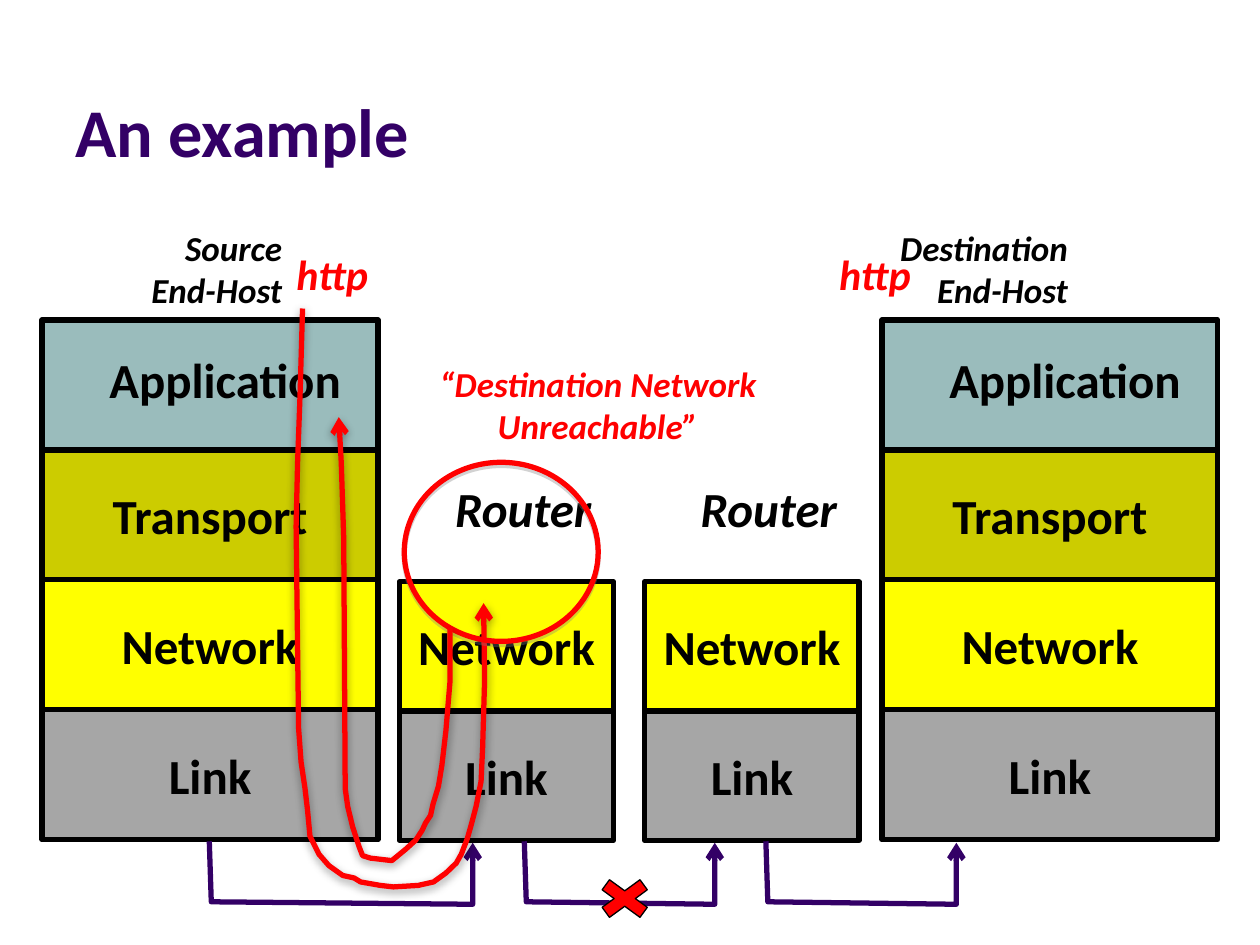
from lxml import etree
from pptx import Presentation
from pptx import util as u
from pptx.dml.color import RGBColor
from pptx.enum import shapes, text
from pptx.oxml.ns import qn

PURPLE = RGBColor(0x33, 0x00, 0x66)
RED = RGBColor(0xFF, 0x00, 0x00)
BLACK = RGBColor(0x00, 0x00, 0x00)
TEAL = RGBColor(0x9A, 0xBC, 0xBC)
OLIVE = RGBColor(0xCC, 0xCC, 0x00)
YELLOW = RGBColor(0xFF, 0xFF, 0x00)
GRAY = RGBColor(0xA6, 0xA6, 0xA6)

RIGHT, CENTER = text.PP_ALIGN.RIGHT, text.PP_ALIGN.CENTER
LOWER_LAYERS = [("Network", YELLOW), ("Link", GRAY)]
HOST_LAYERS = [("", TEAL), ("Transport", OLIVE)] + LOWER_LAYERS
LAYER_STEP = 2.62

REQUEST_PATH = [
    (0.13, 0), (0.08, 1.73), (0.03, 3.1), (0, 4.39), (0.05, 8.46), (0.1, 9.14),
    (0.18, 9.68), (0.23, 10.11), (0.28, 10.64), (0.46, 11), (0.66, 11.23),
    (0.94, 11.43), (1.17, 11.48), (1.3, 11.56), (1.7, 11.63), (1.96, 11.66),
    (2.46, 11.63), (2.77, 11.56), (3.02, 11.38), (3.23, 11.18), (3.33, 11),
    (3.45, 10.69), (3.53, 10.41), (3.63, 10.03), (3.73, 9.53), (3.76, 8.86),
    (3.8, 7.49), (3.78, 5.94),
]
REPLY_PATH = [
    (2.24, 4.24), (2.24, 5.36), (2.16, 6.32), (2.08, 7.01), (2.01, 7.44),
    (1.9, 7.8), (1.85, 8.03), (1.75, 8.18), (1.68, 8.33), (1.55, 8.53),
    (1.35, 8.71), (1.07, 8.94), (0.64, 8.89), (0.48, 8.84), (0.41, 8.66),
    (0.28, 8.26), (0.18, 7.85), (0.13, 7.49), (0.1, 2.44), (0.05, 0.91), (0, 0),
]


def write(tf, lines, size, color, align, italic=False):
    """Fill a text frame with bold lines."""
    for i, line in enumerate(lines):
        p = tf.add_paragraph() if i else tf.paragraphs[0]
        p.text = line
        p.alignment = align
        f = p.font
        f.name, f.size, f.bold, f.italic = "Calibri", u.Pt(size), True, italic
        f.color.rgb = color


def add_label(s, left, top, width, height, lines, size, color=BLACK, align=RIGHT):
    """Add an italic label that fits its text."""
    sp = s.shapes.add_textbox(u.Cm(left), u.Cm(top), u.Cm(width), u.Cm(height))
    tf = sp.text_frame
    tf.word_wrap = False
    tf.auto_size = text.MSO_AUTO_SIZE.SHAPE_TO_FIT_TEXT
    write(tf, lines, size, color, align, italic=True)


def add_title(s, left, top, width, height):
    """Add the slide heading."""
    sp = s.shapes.add_textbox(u.Cm(left), u.Cm(top), u.Cm(width), u.Cm(height))
    tf = sp.text_frame
    tf.word_wrap = True
    tf.vertical_anchor = text.MSO_ANCHOR.BOTTOM
    write(tf, ["An example"], 39, PURPLE, text.PP_ALIGN.LEFT)


def add_preset(s, kind, left, top, width, height, fill, line, weight):
    """Add a preset shape with its fill and outline."""
    sp = s.shapes.add_shape(kind, u.Cm(left), u.Cm(top), u.Cm(width), u.Cm(height))
    sp.shadow.inherit = False
    if fill is None:
        sp.fill.background()
    else:
        sp.fill.solid()
        sp.fill.fore_color.rgb = fill
    sp.line.color.rgb = line
    sp.line.width = u.Pt(weight)
    return sp


def add_stack(s, left, top, width, height, layers):
    """Stack named protocol layers from the top down."""
    for i, (name, color) in enumerate(layers):
        sp = add_preset(s, shapes.MSO_SHAPE.RECTANGLE, left, top + i * LAYER_STEP,
                        width, height, color, BLACK, 3)
        if name:
            tf = sp.text_frame
            tf.word_wrap = False
            tf.vertical_anchor = text.MSO_ANCHOR.MIDDLE
            write(tf, [name], 28, BLACK, CENTER)


def add_host(s, left, top, width):
    """Add an end host with its four layers."""
    add_stack(s, left, top, width, LAYER_STEP, HOST_LAYERS)
    sp = s.shapes.add_textbox(u.Cm(left + 0.86), u.Cm(top + 0.48), u.Cm(5.41), u.Cm(1.45))
    sp.text_frame.word_wrap = True
    write(sp.text_frame, ["Application"], 28, BLACK, RIGHT)


def add_router(s, left, top, width):
    """Add a router with its caption and two layers."""
    add_stack(s, left, top, width, 2.59, LOWER_LAYERS)
    add_label(s, left + 0.64, top - 2.2, 3.48, 1.45, ["Router"], 28)


def add_shadow(sp, color, alpha, blur, dist):
    """Cast a soft shadow straight down."""
    effects = sp._element.spPr.find(qn("a:effectLst"))
    shadow = etree.SubElement(effects, qn("a:outerShdw"), blurRad=str(u.Pt(blur)),
                              dist=str(u.Pt(dist)), dir="5400000", rotWithShape="0")
    clr = etree.SubElement(shadow, qn("a:srgbClr"), val=color)
    etree.SubElement(clr, qn("a:alpha"), val=str(alpha * 1000))


def add_arrow(s, left, top, points, color):
    """Draw an open line through points, with an arrowhead at its end."""
    emu = [(u.Cm(left + x), u.Cm(top + y)) for x, y in points]
    builder = s.shapes.build_freeform(*emu[0])
    builder.add_line_segments(emu[1:], close=False)
    sp = builder.convert_to_shape()
    sp.shadow.inherit = False
    sp.fill.background()
    sp.line.color.rgb = color
    sp.line.width = u.Pt(3)
    etree.SubElement(sp._element.spPr.find(qn("a:ln")), qn("a:tailEnd"), type="arrow")
    return sp


def add_wire(s, left, top, width):
    """Link two neighbouring devices below their stacks."""
    add_arrow(s, left, top, [(0, 0), (0.04, 1.22), (width, 1.27), (width, 0.03)], PURPLE)


def main():
    """Build the slide."""
    prs = Presentation()
    prs.slide_width, prs.slide_height = u.Cm(25.4), u.Cm(19.05)
    s = prs.slides.add_slide(prs.slide_layouts[6])
    add_title(s, 1.27, 0.33, 22.86, 3.25)
    for left in (0.85, 17.78):
        add_host(s, left, 6.45, 6.77)
    for left in (8.05, 13):
        add_router(s, left, 11.73, 4.32)
    for left, width in ((4.22, 5.31), (10.57, 3.84), (15.44, 3.84)):
        add_wire(s, left, 16.96, width)
    add_label(s, 2.64, 4.45, 3.3, 1.96, ["Source", "End-Host"], 20)
    add_label(s, 17.88, 4.45, 3.9, 1.96, ["Destination", "End-Host"], 20)
    for left in (5.54, 16.48):
        add_label(s, left, 4.88, 2.13, 1.3, ["http"], 24, RED)
    request = add_arrow(s, 5.97, 6.22, REQUEST_PATH, RED)
    ring = add_preset(s, shapes.MSO_SHAPE.OVAL, 8.15, 9.32, 3.91, 3.61, None, RED, 3)
    add_label(s, 8.59, 7.19, 6.93, 1.96,
              ["“Destination Network", "Unreachable”"], 20, RED, CENTER)
    reply = add_arrow(s, 6.83, 8.41, REPLY_PATH, RED)
    for sp in (request, reply):
        add_shadow(sp, "000000", 38, 5, 1.6)
    add_shadow(ring, "808080", 35, 0, 1.8)
    add_preset(s, shapes.MSO_SHAPE.MATH_MULTIPLY, 11.86, 17.58, 1.47, 1.07, RED, BLACK, 0.75)
    prs.save("out.pptx")


if __name__ == "__main__":
    main()
